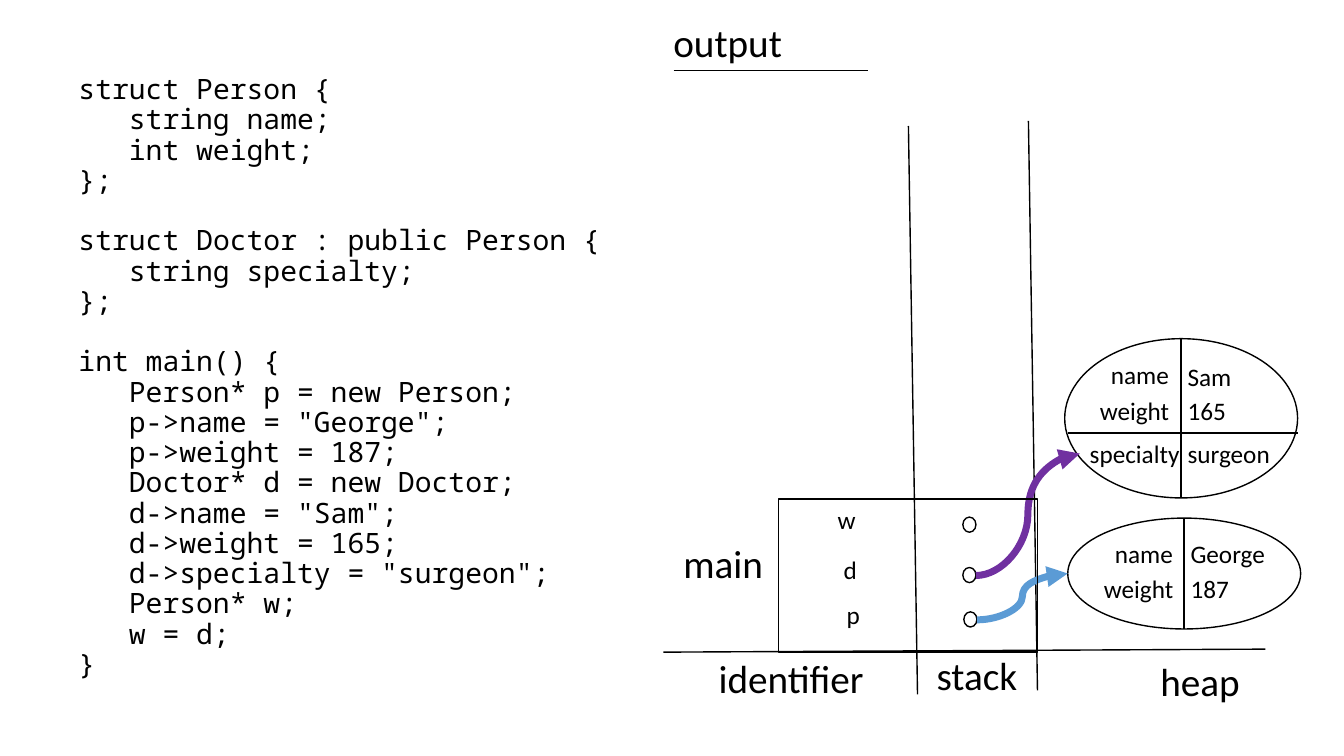
from dataclasses import dataclass

import pptx
import pptx.dml.color
import pptx.enum.shapes
import pptx.enum.text
import pptx.oxml.ns
import pptx.util
from lxml import etree

PX = 9144
COLORS = {"ink": "000000", "paper": "FFFFFF", "blue": "5B9BD5", "purple": "7030A0"}
SHAPES = pptx.enum.shapes.MSO_SHAPE
CONNECTORS = pptx.enum.shapes.MSO_CONNECTOR
CODE_INDENT = 50
BLANK_LINE = 21.6

CODE = """struct Person {
   string name;
   int weight;
};

struct Doctor : public Person {
   string specialty;
};

int main() {
   Person* p = new Person;
   p->name = "George";
   p->weight = 187;
   Doctor* d = new Doctor;
   d->name = "Sam";
   d->weight = 165;
   d->specialty = "surgeon";
   Person* w;
   w = d;
}"""


@dataclass(frozen=True)
class Label:
    text: str
    left: int
    top: int
    width: int
    size: int = 28


@dataclass(frozen=True)
class Line:
    start: tuple[int, int]
    end: tuple[int, int]
    width: float = 1
    color: str = "ink"
    arrow: bool = False


@dataclass(frozen=True)
class Field:
    name: str
    name_width: int
    value: str
    value_width: int
    top: int
    overlap: int = 0
    value_drop: int = 0


@dataclass(frozen=True)
class Record:
    left: int
    top: int
    height: int
    fields: tuple[Field, ...]
    width: int = 231


LABELS = [
    Label("output", 658, 13, 129),
    Label("main", 668, 530, 100),
    Label("identifier", 703, 644, 166),
    Label("stack", 919, 641, 101),
    Label("heap", 1141, 647, 100),
    Label("w", 821, 495, 38, 18),
    Label("d", 827, 545, 34, 18),
    Label("p", 830, 590, 34, 18),
]
RULES = [
    Line((658, 647), (1255, 644)),
    Line((1029, 685), (1020, 120)),
    Line((910, 689), (901, 125)),
    Line((668, 70), (861, 70)),
    Line((1059, 430), (1287, 430), 1.5),
]
POINTERS = [
    Line((969, 615), (1059, 569), 5, "blue", True),
    Line((968, 571), (1071, 450), 5, "purple", True),
]
POINTER_DOTS = [(955, 513), (955, 563), (956, 607)]
RECORDS = [
    Record(1059, 514, 110, (
        Field("name", 78, "George", 95, 529),
        Field("weight", 90, "187", 59, 564, overlap=1),
    )),
    Record(1056, 336, 158, (
        Field("name", 78, "Sam", 64, 352, overlap=-1, value_drop=2),
        Field("weight", 90, "165", 59, 387),
        Field("specialty", 110, "surgeon", 103, 430, overlap=10),
    )),
]


def px(length: int) -> pptx.util.Emu:
    return pptx.util.Emu(length * PX)


def rgb(name: str) -> pptx.dml.color.RGBColor:
    return pptx.dml.color.RGBColor.from_string(COLORS[name])


def add_text(slide, text: str, left: int, top: int, width: int, height: int, *,
             size: int, font: str = "Calibri", wrap: bool = False,
             line_spacing: float = 1.0) -> None:
    shape = slide.shapes.add_textbox(px(left), px(top), px(width), px(height))
    frame = shape.text_frame
    frame.word_wrap = wrap
    sizing = pptx.enum.text.MSO_AUTO_SIZE
    frame.auto_size = sizing.NONE if wrap else sizing.SHAPE_TO_FIT_TEXT
    paragraph = frame.paragraphs[0]
    for block_index, block in enumerate(text.split("\n\n")):
        for line_index, line in enumerate(block.split("\n")):
            if block_index or line_index:
                paragraph = frame.add_paragraph()
            paragraph.line_spacing = line_spacing
            if block_index and not line_index:
                paragraph.space_before = pptx.util.Pt(BLANK_LINE)
            if line.startswith(" "):
                paragraph._p.get_or_add_pPr().set("marL", str(px(CODE_INDENT)))
            run = paragraph.add_run()
            run.text = line.lstrip()
            run.font.size = pptx.util.Pt(size)
            run.font.name = font
            run.font.color.rgb = rgb("ink")


def add_label(slide, label: Label) -> None:
    height = 57 if label.size == 28 else 40
    add_text(slide, label.text, label.left, label.top, label.width, height, size=label.size)


def add_outline(slide, kind, left: int, top: int, width: int, height: int,
                fill: str | None = None) -> None:
    shape = slide.shapes.add_shape(kind, px(left), px(top), px(width), px(height))
    shape.shadow.inherit = False
    if fill:
        shape.fill.solid()
        shape.fill.fore_color.rgb = rgb(fill)
    else:
        shape.fill.background()
    shape.line.color.rgb = rgb("ink")
    shape.line.width = pptx.util.Pt(1)


def add_line(slide, line: Line) -> None:
    kind = CONNECTORS.CURVE if line.arrow else CONNECTORS.STRAIGHT
    connector = slide.shapes.add_connector(kind, *map(px, line.start + line.end))
    connector.line.color.rgb = rgb(line.color)
    connector.line.width = pptx.util.Pt(line.width)
    qn = pptx.oxml.ns.qn
    if line.arrow:
        outline = connector.line._get_or_add_ln()
        etree.SubElement(outline, qn("a:tailEnd"), type="triangle")
    etree.SubElement(connector._element.spPr, qn("a:effectLst"))


def add_record(slide, record: Record) -> None:
    add_outline(slide, SHAPES.OVAL, record.left, record.top, record.width, record.height)
    divider = record.left + record.width // 2
    add_line(slide, Line((divider, record.top), (divider, record.top + record.height), 1.5))
    for field in record.fields:
        name_left = divider + field.overlap - field.name_width
        add_label(slide, Label(field.name, name_left, field.top, field.name_width, 18))
        value_top = field.top + field.value_drop
        add_label(slide, Label(field.value, divider - 3, value_top, field.value_width, 18))


def main() -> None:
    presentation = pptx.Presentation()
    presentation.slide_width, presentation.slide_height = px(1333), px(750)
    slide = presentation.slides.add_slide(presentation.slide_layouts[6])
    add_text(slide, CODE, 68, 70, 549, 615, size=20, font="Noto Sans Mono",
             wrap=True, line_spacing=0.9)
    for record in RECORDS:
        add_record(slide, record)
    for rule in RULES:
        add_line(slide, rule)
    for left, top in POINTER_DOTS:
        add_outline(slide, SHAPES.OVAL, left, top, 13, 15, fill="paper")
    for pointer in POINTERS:
        add_line(slide, pointer)
    add_outline(slide, SHAPES.RECTANGLE, 772, 495, 257, 152)
    for label in LABELS:
        add_label(slide, label)
    presentation.save("out.pptx")


if __name__ == "__main__":
    main()
